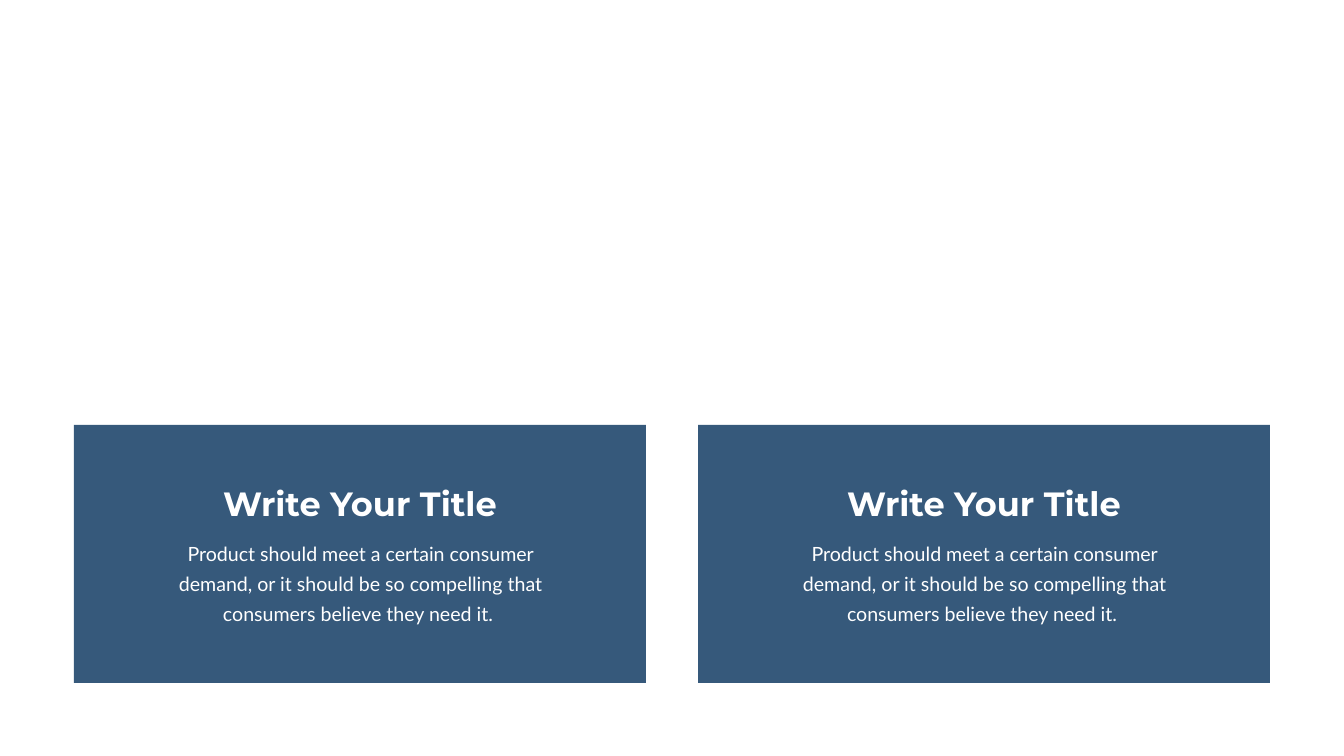
from pptx import Presentation
from pptx.dml.color import RGBColor
from pptx.enum.shapes import MSO_SHAPE
from pptx.enum.text import MSO_AUTO_SIZE, PP_ALIGN
from pptx.util import Pt

SCALE = 914400 / 50.4
COLORS = {"card": "36597B", "text": "FFFFFF"}
TITLE = "Write Your Title"
BODY = ("Product should meet a certain consumer demand, or it should be "
        "so compelling that consumers believe they need it. ")
LEFT, PITCH, COUNT = 74, 624, 2


def px(n):
    """Turn pixels into EMU."""
    return round(n * SCALE)


def panel(slide, x, y, w, h):
    """Draw a plain filled rectangle."""
    shape = slide.shapes.add_shape(MSO_SHAPE.RECTANGLE, px(x), px(y), px(w), px(h))
    shape.shadow.inherit = False
    shape.fill.solid()
    shape.fill.fore_color.rgb = RGBColor.from_string(COLORS["card"])
    shape.line.fill.background()


def label(slide, x, y, w, h, text, face, size, bold=False):
    """Add a centred text box and return its frame."""
    frame = slide.shapes.add_textbox(px(x), px(y), px(w), px(h)).text_frame
    frame.word_wrap = True
    frame.auto_size = MSO_AUTO_SIZE.SHAPE_TO_FIT_TEXT
    frame.text = text
    para = frame.paragraphs[0]
    para.alignment = PP_ALIGN.CENTER
    font = para.runs[0].font
    font.name, font.size, font.bold = face, Pt(size), bold
    font.color.rgb = RGBColor.from_string(COLORS["text"])
    return frame


def card(slide, x):
    """Draw one panel with its title and body."""
    panel(slide, x, 425, 572, 258)
    body = label(slide, x + 75, 529, 423, 100, BODY, "Lato", 28)
    body.margin_left = body.margin_right = px(12)
    body.margin_top = body.margin_bottom = px(6)
    body.paragraphs[0].line_spacing = Pt(43)
    label(slide, x + 142, 480, 288, 46, TITLE, "Montserrat", 48, True)


def main():
    """Build and save the slide."""
    deck = Presentation()
    deck.slide_width, deck.slide_height = px(1344), px(756)
    slide = deck.slides.add_slide(deck.slide_layouts[6])
    for i in range(COUNT):
        card(slide, LEFT + i * PITCH)
    deck.save("out.pptx")


if __name__ == "__main__":
    main()
